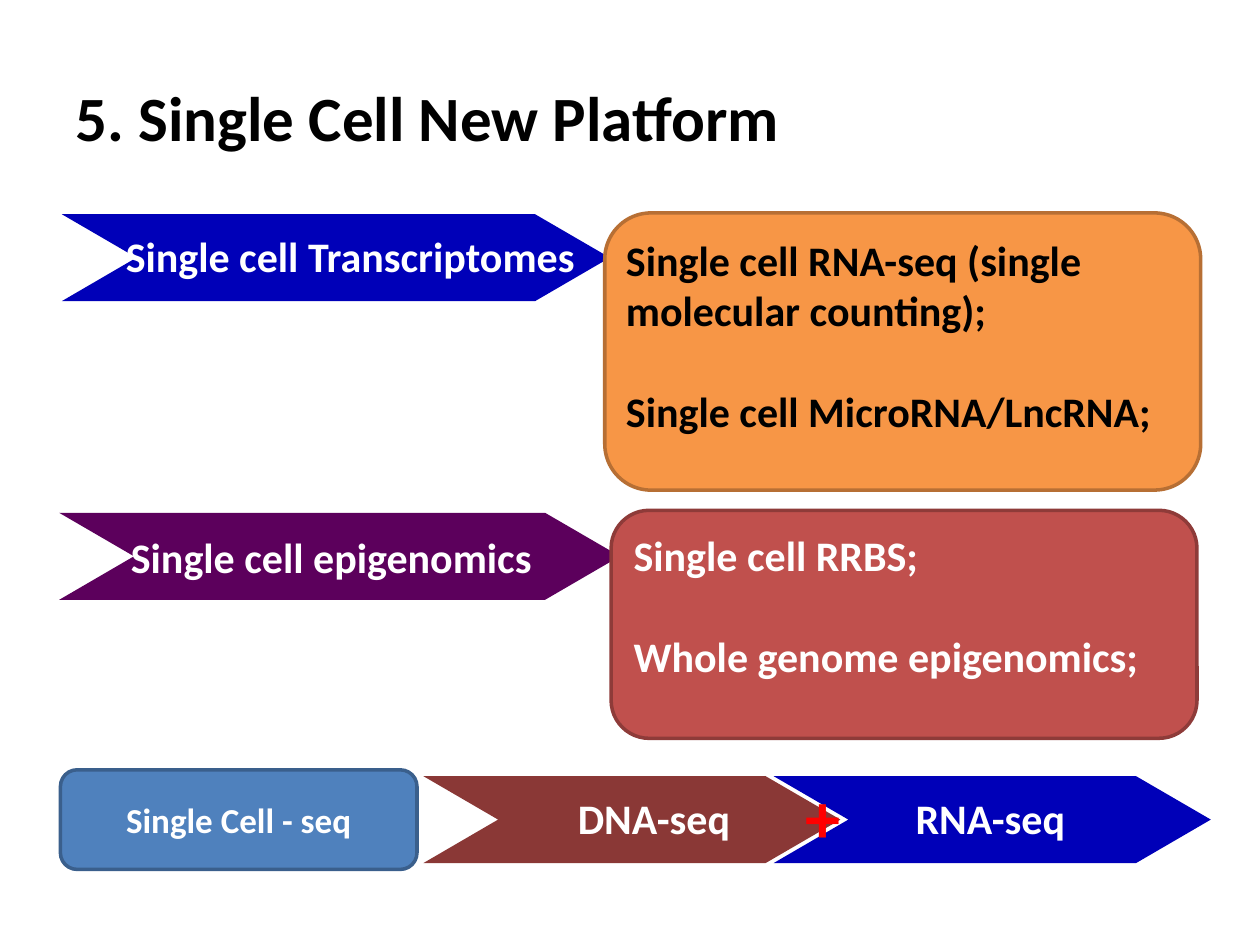
from pptx import Presentation
from pptx.dml.color import RGBColor
from pptx.enum.shapes import MSO_SHAPE
from pptx.enum.text import MSO_ANCHOR, PP_ALIGN
from pptx.util import Inches, Pt

BLACK = RGBColor(0x00, 0x00, 0x00)
WHITE = RGBColor(0xFF, 0xFF, 0xFF)
RED = RGBColor(0xFF, 0x00, 0x00)
NAVY = RGBColor(0x00, 0x00, 0xB8)
PURPLE = RGBColor(0x5C, 0x00, 0x5C)
BROWN = RGBColor(0x8A, 0x38, 0x36)
ORANGE = RGBColor(0xF7, 0x96, 0x46)
ORANGE_EDGE = RGBColor(0xB7, 0x6F, 0x34)
BRICK = RGBColor(0xC0, 0x50, 0x4D)
BRICK_EDGE = RGBColor(0x8E, 0x3B, 0x39)
BLUE = RGBColor(0x4F, 0x81, 0xBD)
BLUE_EDGE = RGBColor(0x3A, 0x5F, 0x8C)

FONT = "Calibri"
CHEVRON_HEIGHT = 0.69


def write(tf, *lines, size=24, color=WHITE, align=PP_ALIGN.LEFT,
          anchor=MSO_ANCHOR.TOP, gap=0):
    """Fill a text frame with one bold paragraph per line."""
    tf.word_wrap = True
    tf.vertical_anchor = anchor
    for i, line in enumerate(lines):
        p = tf.paragraphs[0] if i == 0 else tf.add_paragraph()
        p.alignment = align
        if i:
            p.space_before = Pt(gap)
        r = p.add_run()
        r.text = line
        r.font.name = FONT
        r.font.size = Pt(size)
        r.font.bold = True
        r.font.color.rgb = color


def add_label(s, x, y, w, h, *lines, **fmt):
    box = s.shapes.add_textbox(Inches(x), Inches(y), Inches(w), Inches(h))
    write(box.text_frame, *lines, **fmt)


def add_chevron(s, x, y, w, fill):
    sp = s.shapes.add_shape(MSO_SHAPE.CHEVRON, Inches(x), Inches(y),
                            Inches(w), Inches(CHEVRON_HEIGHT))
    sp.adjustments[0] = 0.86
    sp.shadow.inherit = False
    sp.fill.solid()
    sp.fill.fore_color.rgb = fill
    sp.line.fill.background()


def add_panel(s, x, y, w, h, fill, edge):
    sp = s.shapes.add_shape(MSO_SHAPE.ROUNDED_RECTANGLE, Inches(x), Inches(y),
                            Inches(w), Inches(h))
    sp.shadow.inherit = False
    sp.fill.solid()
    sp.fill.fore_color.rgb = fill
    sp.line.color.rgb = edge
    sp.line.width = Pt(2)
    return sp


def add_title(s, text):
    title = s.shapes.title
    title.left, title.top = Inches(0.5), Inches(0.3)
    title.width, title.height = Inches(9), Inches(1.25)
    write(title.text_frame, text, size=36, color=BLACK,
          anchor=MSO_ANCHOR.MIDDLE)


def main():
    prs = Presentation()
    prs.slide_width, prs.slide_height = Inches(10), Inches(7.5)
    s = prs.slides.add_slide(prs.slide_layouts[5])
    add_title(s, "5. Single Cell New Platform")

    # Transcriptomes row
    add_chevron(s, 0.49, 1.7, 4.35, NAVY)
    add_label(s, 0.9, 1.78, 4.24, 0.5, "Single cell Transcriptomes")
    add_panel(s, 4.8, 1.69, 4.73, 2.2, ORANGE, ORANGE_EDGE)
    add_label(s, 4.87, 1.81, 4.74, 1.72,
              "Single cell RNA-seq (single molecular counting);",
              "Single cell MicroRNA/LncRNA;", color=BLACK, gap=29)

    # Epigenomics row
    add_chevron(s, 0.47, 4.07, 4.45, PURPLE)
    add_label(s, 0.94, 4.17, 3.39, 0.5, "Single cell epigenomics")
    add_panel(s, 4.85, 4.05, 4.65, 1.81, BRICK, BRICK_EDGE)
    add_label(s, 4.93, 4.15, 4.25, 1.31, "Single cell RRBS;",
              "Whole genome epigenomics;", gap=29)

    # Combined sequencing row
    center = PP_ALIGN.CENTER
    add_chevron(s, 3.36, 6.16, 3.31, BROWN)
    add_label(s, 3.93, 6.24, 2.52, 0.5, "DNA-seq", align=center)
    add_chevron(s, 6.14, 6.16, 3.47, NAVY)
    add_label(s, 6.6, 6.24, 2.52, 0.5, "RNA-seq", align=center)
    source = add_panel(s, 0.48, 6.11, 2.83, 0.79, BLUE, BLUE_EDGE)
    write(source.text_frame, "Single Cell - seq", size=20, align=center,
          anchor=MSO_ANCHOR.MIDDLE)
    add_label(s, 6.22, 6.09, 0.63, 0.77, "+", size=40, color=RED, align=center)

    prs.save("out.pptx")


if __name__ == "__main__":
    main()
